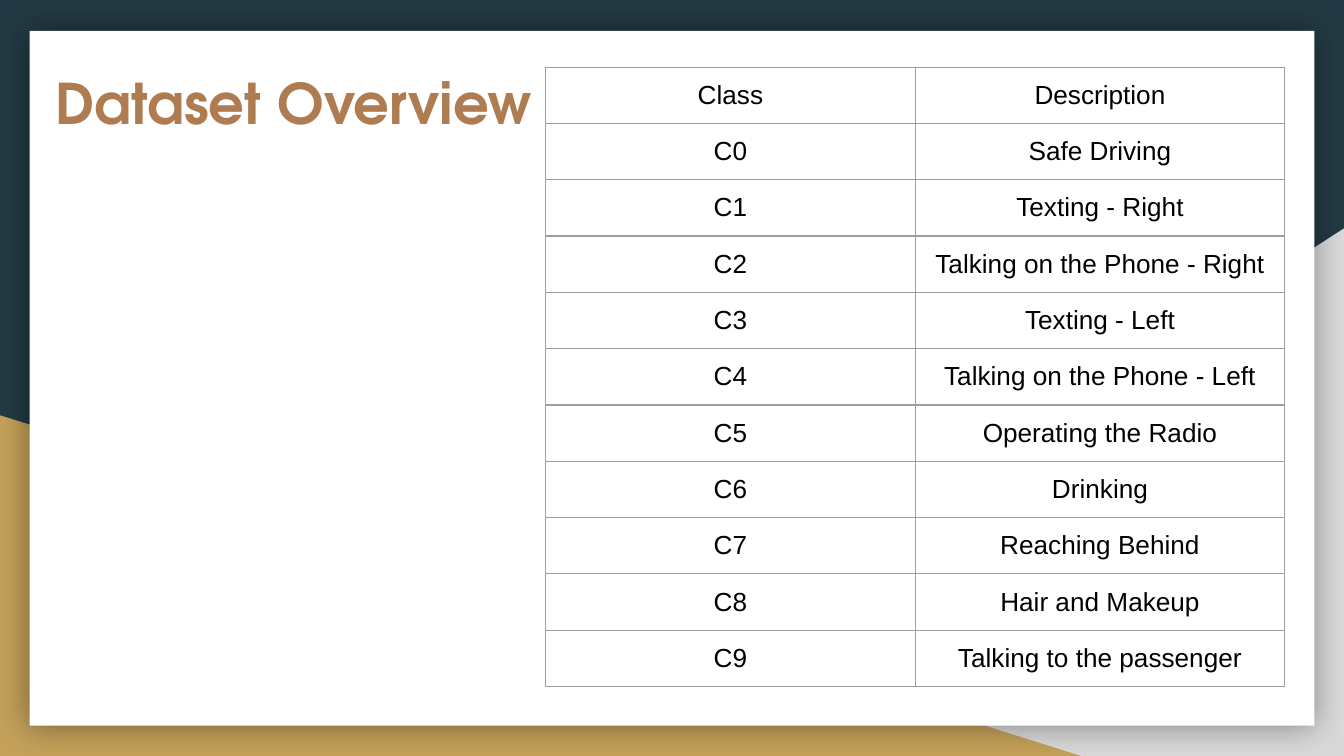
from lxml import etree
from pptx import Presentation
from pptx.dml.color import RGBColor
from pptx.enum.shapes import MSO_SHAPE as SHAPE
from pptx.enum.text import MSO_ANCHOR as ANCHOR, PP_ALIGN as ALIGN
from pptx.oxml import parse_xml
from pptx.oxml.ns import nsdecls, qn
from pptx.util import Inches, Pt

CLASSES = [
    "Safe Driving", "Texting - Right", "Talking on the Phone - Right",
    "Texting - Left", "Talking on the Phone - Left", "Operating the Radio",
    "Drinking", "Reaching Behind", "Hair and Makeup", "Talking to the passenger",
]


def rgb(color):
    return RGBColor.from_string(color)


def style_font(font, name, size, color, bold=False):
    font.name = name
    font.size = Pt(size)
    font.bold = bold
    font.color.rgb = rgb(color)


def add_panel(s, kind, box, color):
    sp = s.shapes.add_shape(kind, *map(Inches, box))
    sp.shadow.inherit = False
    sp.fill.solid()
    sp.fill.fore_color.rgb = rgb(color)
    sp.line.fill.background()
    return sp


def flip(sp):
    sp._element.spPr.find(qn("a:xfrm")).set("flipH", "1")


def add_glow(sp, color, alpha, blur):
    effects = sp._element.spPr.find(qn("a:effectLst"))
    effects.append(parse_xml(
        f'<a:outerShdw {nsdecls("a")} blurRad="{Pt(blur)}" dist="0" dir="0" '
        f'algn="ctr" rotWithShape="0"><a:srgbClr val="{color}">'
        f'<a:alpha val="{alpha * 1000}"/></a:srgbClr></a:outerShdw>'))


def set_title(s, text, box):
    title = s.shapes.title
    title.left, title.top, title.width, title.height = map(Inches, box)
    tf = title.text_frame
    tf.text = text
    tf.word_wrap = True
    tf.vertical_anchor = ANCHOR.TOP
    tf.margin_left = tf.margin_right = tf.margin_top = tf.margin_bottom = Inches(0.1)
    p = tf.paragraphs[0]
    p.alignment = ALIGN.LEFT
    style_font(p.runs[0].font, "TeX Gyre Adventor", 30, "AF7B51", True)
    s.shapes._spTree.append(title._element)


def set_borders(cell, color, width):
    tcPr = cell._tc.get_or_add_tcPr()
    for i, side in enumerate(("lnL", "lnR", "lnT", "lnB")):
        ln = etree.Element(qn(f"a:{side}"), w=str(Pt(width)))
        fill = etree.SubElement(ln, qn("a:solidFill"))
        etree.SubElement(fill, qn("a:srgbClr"), val=color)
        tcPr.insert(i, ln)


def fill_cell(cell, text):
    cell.fill.background()
    cell.margin_left = cell.margin_right = Inches(0.1)
    cell.margin_top = cell.margin_bottom = Inches(0.1)
    set_borders(cell, "9E9E9E", 0.75)
    cell.text_frame.text = text
    p = cell.text_frame.paragraphs[0]
    p.alignment = ALIGN.CENTER
    style_font(p.runs[0].font, "Arial", 14, "000000")


def add_class_table(s, rows, left, top, col_width, row_height):
    cols = len(rows[0])
    table = s.shapes.add_table(
        len(rows), cols, Inches(left), Inches(top),
        Inches(cols * col_width), Inches(len(rows) * row_height)).table
    table.first_row = table.horz_banding = False
    for i, row in enumerate(rows):
        for j, text in enumerate(row):
            fill_cell(table.cell(i, j), text)


def main():
    prs = Presentation()
    prs.slide_width, prs.slide_height = Inches(10), Inches(10 * 9 / 16)
    s = prs.slides.add_slide(prs.slide_layouts[5])
    s.background.fill.solid()
    s.background.fill.fore_color.rgb = rgb("233A44")

    flip(add_panel(s, SHAPE.RIGHT_TRIANGLE, (3.92, 1.7, 6.08, 3.93), "D9D9D9"))
    add_panel(s, SHAPE.RIGHT_TRIANGLE, (0, 3.09, 8.06, 2.54), "C4A15A")
    card = add_panel(s, SHAPE.RECTANGLE, (0.22, 0.23, 9.56, 5.17), "FFFFFF")
    add_glow(card, "000000", 40, 18)

    set_title(s, "Dataset Overview", (0.31, 0.41, 8.21, 1.04))
    rows = [("Class", "Description")]
    rows += [(f"C{i}", name) for i, name in enumerate(CLASSES)]
    add_class_table(s, rows, 4.06, 0.5, 2.75, 0.39)
    prs.save("out.pptx")


if __name__ == "__main__":
    main()
